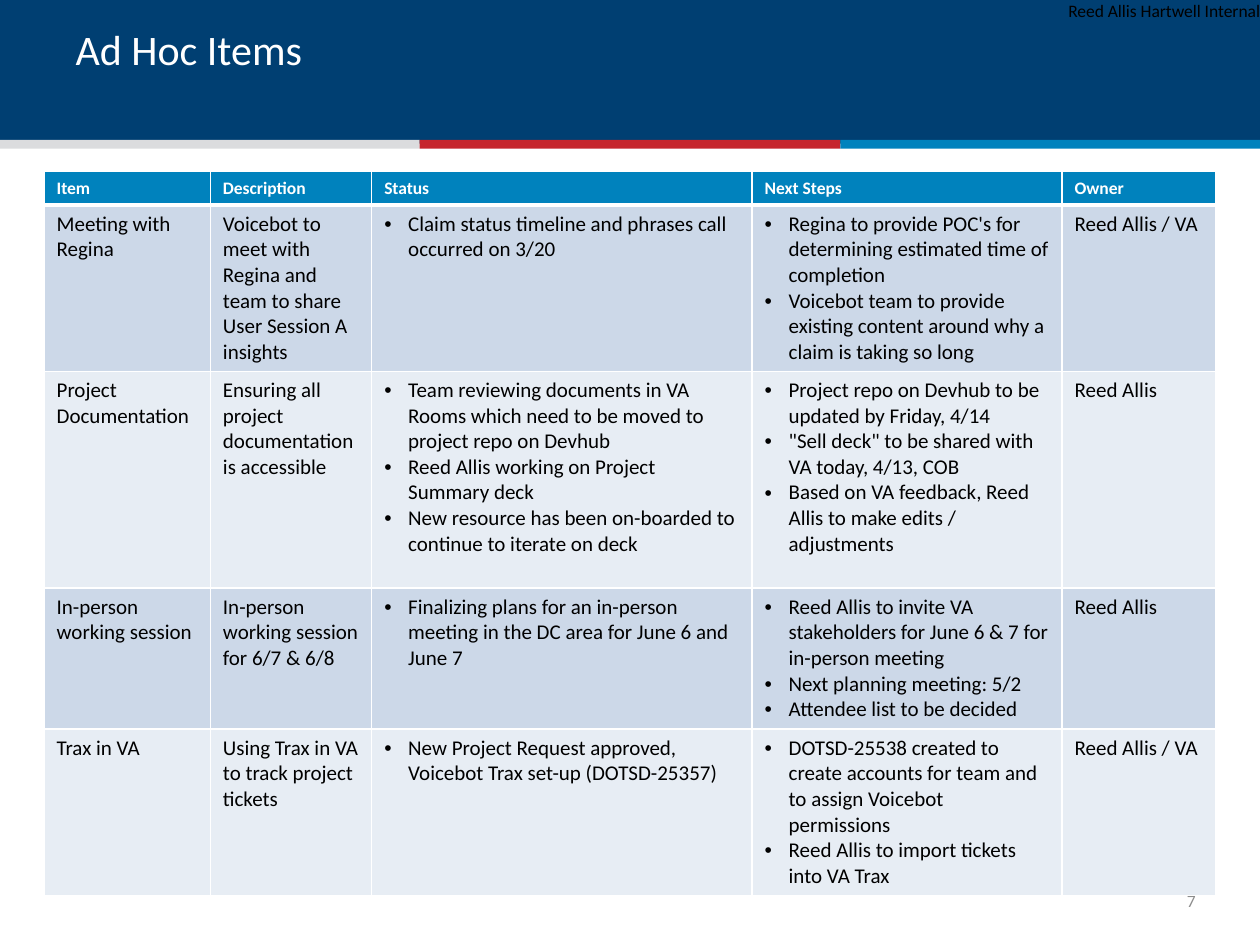
from lxml.etree import SubElement
from pptx import Presentation
from pptx.dml.color import RGBColor
from pptx.enum.shapes import MSO_SHAPE
from pptx.enum.text import MSO_ANCHOR, MSO_AUTO_SIZE, PP_ALIGN
from pptx.oxml.ns import qn
from pptx.util import Inches, Pt

COLORS = {
    "navy": "003F72", "gray": "DBDCDE", "red": "C6262D", "blue": "0082BD",
    "white": "FFFFFF", "black": "000000", "page": "8C8C8C",
    "band_dark": "CCD8E8", "band_light": "E7EDF4",
}
COLUMN_WIDTHS = [1.32, 1.28, 3.02, 2.46, 1.22]
ROW_HEIGHTS = [0.26, 1.32, 1.72, 1.12, 1.32]
HEADERS = ["Item", "Description", "Status", "Next Steps", "Owner"]

# Lists become bulleted cells, strings become plain cells
ITEMS = [
    ["Meeting with Regina",
     "Voicebot to meet with Regina and team to share User Session A insights",
     ["Claim status timeline and phrases call occurred on 3/20"],
     ["Regina to provide POC's for determining estimated time of completion",
      "Voicebot team to provide existing content around why a claim is taking so long"],
     "Reed Allis / VA"],
    ["Project Documentation",
     "Ensuring all project documentation is accessible",
     ["Team reviewing documents in VA Rooms which need to be moved to project repo on Devhub",
      "Reed Allis working on Project Summary deck",
      "New resource has been on-boarded to continue to iterate on deck"],
     ["Project repo on Devhub to be updated by Friday, 4/14",
      "\"Sell deck\" to be shared with VA today, 4/13, COB",
      "Based on VA feedback, Reed Allis to make edits / adjustments"],
     "Reed Allis"],
    ["In-person working session",
     "In-person working session for 6/7 & 6/8",
     ["Finalizing plans for an in-person meeting in the DC area for June 6 and June 7"],
     ["Reed Allis to invite VA stakeholders for June 6 & 7 for in-person meeting",
      "Next planning meeting: 5/2",
      "Attendee list to be decided"],
     "Reed Allis"],
    ["Trax in VA",
     "Using Trax in VA to track project tickets",
     ["New Project Request approved, Voicebot Trax set-up (DOTSD-25357)"],
     ["DOTSD-25538 created to create accounts for team and to assign Voicebot permissions",
      "Reed Allis to import tickets into VA Trax"],
     "Reed Allis / VA"],
]


class SlideBuilder:
    font_name = "Calibri"

    def __init__(self, slide):
        self.slide = slide

    def color(self, name):
        return RGBColor.from_string(COLORS[name])

    def style(self, paragraph, size, color, bold=False):
        font = paragraph.font
        font.name, font.size, font.bold = self.font_name, Pt(size), bold
        font.color.rgb = self.color(color)

    def bar(self, left, top, width, height, color):
        bar = self.slide.shapes.add_shape(
            MSO_SHAPE.RECTANGLE, *map(Inches, (left, top, width, height)))
        bar.shadow.inherit = False
        bar.fill.solid()
        bar.fill.fore_color.rgb = self.color(color)
        bar.line.fill.background()

    def title(self, text, left, top, width, height):
        title = self.slide.shapes.title
        title.left, title.top, title.width, title.height = map(
            Inches, (left, top, width, height))
        frame = title.text_frame
        frame.text = text
        frame.auto_size = MSO_AUTO_SIZE.NONE
        frame.vertical_anchor = MSO_ANCHOR.TOP
        frame.paragraphs[0].alignment = PP_ALIGN.LEFT
        self.style(frame.paragraphs[0], 24, "white")
        # Paint the title above the header band
        tree = self.slide.shapes.element
        tree.append(title.element)

    def label(self, text, left, top, width, height, color, align, anchor):
        frame = self.slide.shapes.add_textbox(
            *map(Inches, (left, top, width, height))).text_frame
        frame.word_wrap = True
        frame.margin_left = frame.margin_right = 0
        frame.margin_top = frame.margin_bottom = 0
        frame.vertical_anchor = anchor
        frame.text = text
        frame.paragraphs[0].alignment = align
        self.style(frame.paragraphs[0], 10, color)

    def bullet(self, paragraph):
        properties = paragraph._p.get_or_add_pPr()
        properties.set("marL", str(Inches(0.19)))
        properties.set("indent", str(-Inches(0.19)))
        SubElement(properties, qn("a:buFont"), typeface="Arial")
        SubElement(properties, qn("a:buChar"), char="•")

    def borders(self, cell, bottom):
        properties = cell._tc.get_or_add_tcPr()
        for side, width in (("L", 1), ("R", 1), ("T", 1), ("B", bottom)):
            line = SubElement(properties, qn(f"a:ln{side}"), w=str(Pt(width)))
            fill = SubElement(line, qn("a:solidFill"))
            SubElement(fill, qn("a:srgbClr"), val=COLORS["white"])

    def cell(self, cell, content, size, color, fill, bold=False, bottom=1):
        bulleted = isinstance(content, list)
        cell.text = "\n".join(content) if bulleted else content
        for paragraph in cell.text_frame.paragraphs:
            self.style(paragraph, size, color, bold)
            if bulleted:
                self.bullet(paragraph)
        self.borders(cell, bottom)
        cell.fill.solid()
        cell.fill.fore_color.rgb = self.color(fill)

    def table(self, left, top, headers, items):
        table = self.slide.shapes.add_table(
            len(items) + 1, len(headers), Inches(left), Inches(top),
            Inches(sum(COLUMN_WIDTHS)), Inches(sum(ROW_HEIGHTS))).table
        for column, width in zip(table.columns, COLUMN_WIDTHS):
            column.width = Inches(width)
        for row, height in zip(table.rows, ROW_HEIGHTS):
            row.height = Inches(height)
        for column, header in enumerate(headers):
            self.cell(table.cell(0, column), header, 10, "white", "blue",
                      bold=True, bottom=3)
        for row, item in enumerate(items, start=1):
            band = "band_dark" if row % 2 else "band_light"
            for column, content in enumerate(item):
                self.cell(table.cell(row, column), content, 12, "black", band)


def main():
    presentation = Presentation()
    presentation.slide_width = Inches(10)
    presentation.slide_height = Inches(7.5)
    builder = SlideBuilder(
        presentation.slides.add_slide(presentation.slide_layouts[5]))

    # Header band with three-colour stripe
    builder.bar(-0.01, 0, 10.01, 1.14, "navy")
    for index, stripe in enumerate(("gray", "red", "blue")):
        builder.bar(-0.01 + index * 3.34, 1.11, 3.34, 0.07, stripe)

    # Marking, title and page number
    builder.label("Reed Allis Hartwell Internal", 8.38, 0, 1.62, 0.17,
                  "black", PP_ALIGN.RIGHT, MSO_ANCHOR.TOP)
    builder.title("Ad Hoc Items", 0.5, 0.14, 9, 0.89)
    builder.label("7", 9.22, 6.95, 0.27, 0.4,
                  "page", PP_ALIGN.RIGHT, MSO_ANCHOR.MIDDLE)

    # Status table
    builder.table(0.35, 1.36, HEADERS, ITEMS)
    presentation.save("out.pptx")


if __name__ == "__main__":
    main()
